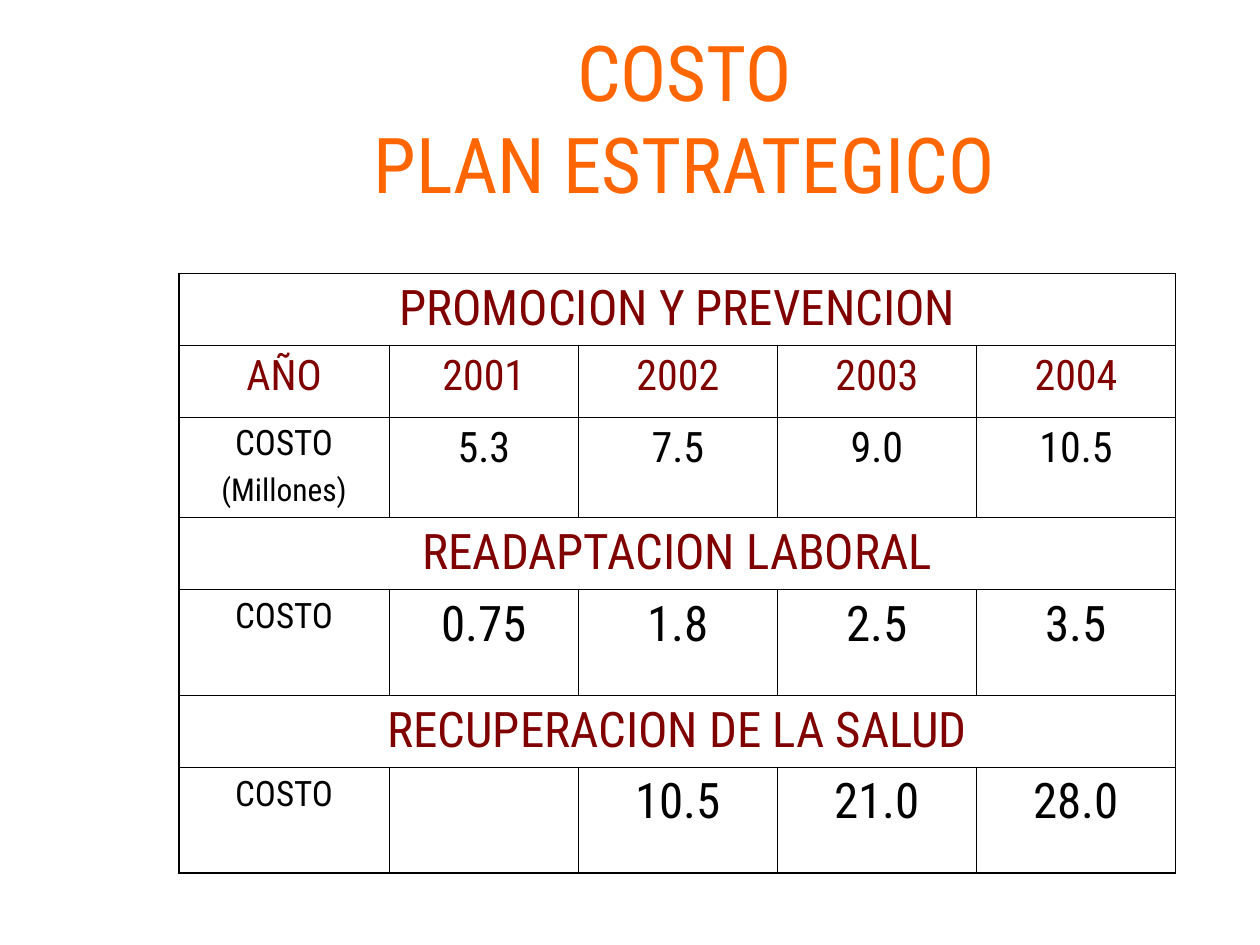
import pptx
import pptx.util
import pptx.dml.color
import pptx.enum.text
from lxml import etree
from pptx.oxml.ns import qn

FONT = "Roboto Condensed"
ORANGE, MAROON, BLACK = "FF6600", "800000", "000000"
WIDE, HIGH = 10, 7.5
THIN, THICK = 0.45, 1.08
COLS = [1.67, 1.5, 1.58, 1.58, 1.58]

# Each row: height, label lines, values, size of values, their colour
ROWS = [
    (0.57, "PROMOCION Y PREVENCION", None, 28, MAROON),
    (0.57, "AÑO", ["2001", "2002", "2003", "2004"], 24, MAROON),
    (0.8, "COSTO\n(Millones)", ["5.3", "7.5", "9.0", "10.5"], 24, BLACK),
    (0.57, "READAPTACION LABORAL", None, 28, MAROON),
    (0.84, "COSTO", ["0.75", "1.8", "2.5", "3.5"], 28, BLACK),
    (0.57, "RECUPERACION DE LA SALUD", None, 28, MAROON),
    (0.84, "COSTO", ["", "10.5", "21.0", "28.0"], 28, BLACK),
]


def inch(num):
    return pptx.util.Inches(num)


def paint(hue):
    return pptx.dml.color.RGBColor.from_string(hue)


def style(para, size, hue):
    para.alignment = pptx.enum.text.PP_ALIGN.CENTER
    for font in [run.font for run in para.runs] or [para.font]:
        font.name = FONT
        font.size = pptx.util.Pt(size)
        font.color.rgb = paint(hue)


def add_title(slide):
    box = slide.shapes.add_textbox(inch(1.33), inch(0.46), inch(8.5), inch(1.25))
    frame = box.text_frame
    frame.word_wrap = True
    frame.vertical_anchor = pptx.enum.text.MSO_ANCHOR.BOTTOM
    frame.text = "COSTO\nPLAN ESTRATEGICO"
    for para in frame.paragraphs:
        style(para, 44, ORANGE)
    # The first line sits a little left of centre
    frame.paragraphs[0]._p.get_or_add_pPr().set("marR", str(inch(0.29)))


def edge(cell, side, width):
    props = cell._tc.get_or_add_tcPr()
    line = etree.SubElement(props, qn("a:ln" + side), w=str(pptx.util.Pt(width)))
    fill = etree.SubElement(line, qn("a:solidFill"))
    etree.SubElement(fill, qn("a:srgbClr"), val=BLACK)


def frame_cell(cell, top, left, right, base):
    for side, outer in (("L", left), ("R", right), ("T", top), ("B", base)):
        edge(cell, side, THICK if outer else THIN)
    cell.fill.background()


def fill_cell(cell, text, sizes, hue):
    cell.text_frame.text = text
    for num, (para, size) in enumerate(zip(cell.text_frame.paragraphs, sizes)):
        style(para, size, hue)
        if num:
            para.space_before = pptx.util.Pt(size / 4)


def add_costs(slide):
    tall = sum(row[0] for row in ROWS)
    shape = slide.shapes.add_table(len(ROWS), len(COLS), inch(1.42), inch(2.17),
                                   inch(sum(COLS)), inch(tall))
    table = shape.table
    table.first_row = table.horz_banding = False
    for col, width in zip(table.columns, COLS):
        col.width = inch(width)

    last = len(COLS) - 1
    for r, (height, label, values, size, hue) in enumerate(ROWS):
        table.rows[r].height = inch(height)
        head = table.cell(r, 0)
        # A row without values is a heading across the table
        if values is None:
            head.merge(table.cell(r, last))
        sizes = [20, 18] if hue == BLACK else [size]
        fill_cell(head, label, sizes, hue)
        for c, text in enumerate(values or [], 1):
            fill_cell(table.cell(r, c), text, [size], hue)
        for c in range(len(COLS)):
            cell = table.cell(r, c)
            if not cell.is_spanned:
                frame_cell(cell, r == 0, c == 0, values is None or c == last,
                           r == len(ROWS) - 1)


def main():
    deck = pptx.Presentation()
    deck.slide_width, deck.slide_height = inch(WIDE), inch(HIGH)
    slide = deck.slides.add_slide(deck.slide_layouts[6])
    add_title(slide)
    add_costs(slide)
    deck.save("out.pptx")


if __name__ == "__main__":
    main()
